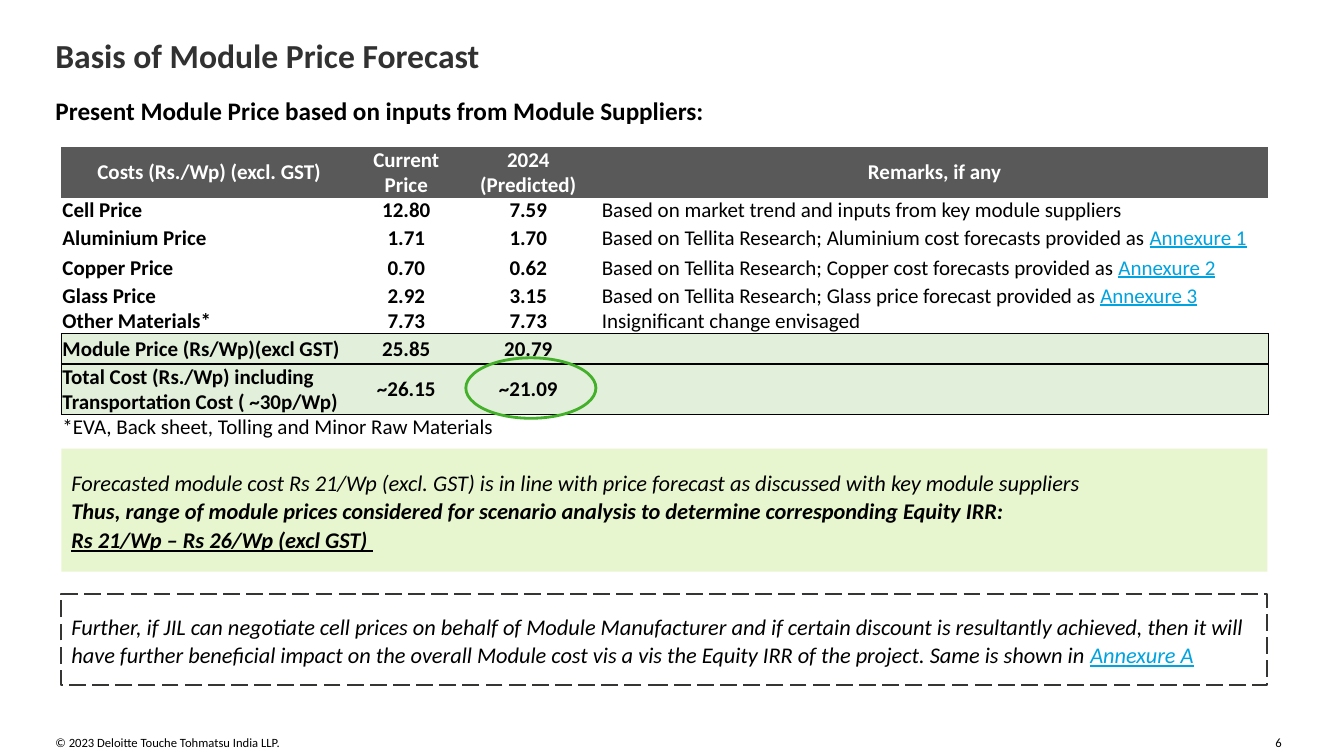
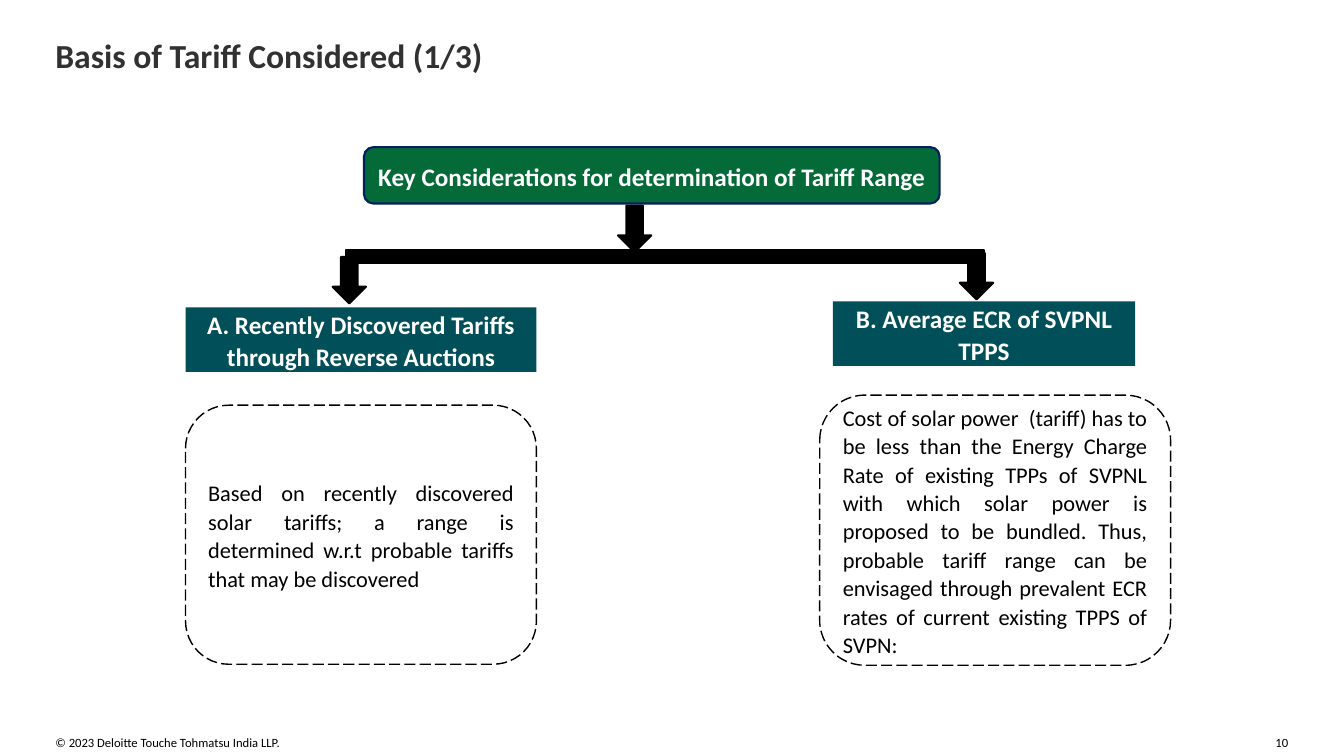
from dataclasses import dataclass

from lxml import etree
from pptx import Presentation
from pptx.dml.color import RGBColor
from pptx.enum.dml import MSO_LINE
from pptx.enum.shapes import MSO_SHAPE
from pptx.enum.text import MSO_ANCHOR, PP_ALIGN
from pptx.oxml.ns import qn
from pptx.util import Inches, Pt

LEFT, CENTER, JUSTIFY = PP_ALIGN.LEFT, PP_ALIGN.CENTER, PP_ALIGN.JUSTIFY
TOP, MIDDLE = MSO_ANCHOR.TOP, MSO_ANCHOR.MIDDLE
RECTANGLE, ROUNDED = MSO_SHAPE.RECTANGLE, MSO_SHAPE.ROUNDED_RECTANGLE
OVAL, DOWN_ARROW = MSO_SHAPE.OVAL, MSO_SHAPE.DOWN_ARROW
LONG_DASH = MSO_LINE.LONG_DASH
PLAIN_TABLE_STYLE = "{2D5ABB26-0587-4C30-8999-92F81FD0307C}"


@dataclass(frozen=True)
class Theme:
    font: str = "Calibri"
    text: str = "000000"
    inverse: str = "FFFFFF"
    title: str = "313131"
    link: str = "00A3E0"
    table_head: str = "595959"
    total_row: str = "E2EFDA"
    highlight: str = "43B02A"
    note: str = "E8F6CF"
    note_line: str = "353533"
    root: str = "046A38"
    root_line: str = "002060"
    branch: str = "004F59"
    title_size: int = 24
    heading_size: int = 18
    body_size: int = 16
    table_size: int = 15
    footer_size: int = 9
    line_spacing: float = 1.06


THEME = Theme()
LINK = {"color": THEME.link, "underline": True}


def color(value):
    return RGBColor.from_string(value)


def add_run(paragraph, text, size, color_value, bold=None, italic=None, underline=None):
    run = paragraph.add_run()
    run.text = text
    font = run.font
    font.name, font.size = THEME.font, Pt(size)
    font.bold, font.italic, font.underline = bold, italic, underline
    font.color.rgb = color(color_value)


def write(frame, paragraphs, size, align=LEFT, spacing=None, **base):
    for index, runs in enumerate(paragraphs):
        paragraph = frame.add_paragraph() if index else frame.paragraphs[0]
        paragraph.alignment = align
        if spacing:
            paragraph.line_spacing = spacing
        for text, changes in runs:
            style = {"color": THEME.text, **base, **changes}
            add_run(paragraph, text, size, style.pop("color"), **style)


def set_insets(frame, inset):
    frame.margin_left = frame.margin_right = Inches(inset)
    frame.margin_top = frame.margin_bottom = Inches(inset)


def add_label(slide, box, text, size, **style):
    frame = slide.shapes.add_textbox(*map(Inches, box)).text_frame
    frame.word_wrap = True
    frame.vertical_anchor = TOP
    set_insets(frame, 0)
    write(frame, [[(text, {})]], size, **style)


def add_box(slide, kind, box, fill=None, line=None, width=1.5, dash=None):
    shape = slide.shapes.add_shape(kind, *map(Inches, box))
    shape.shadow.inherit = False
    if fill:
        shape.fill.solid()
        shape.fill.fore_color.rgb = color(fill)
    else:
        shape.fill.background()
    if line:
        shape.line.color.rgb = color(line)
        shape.line.width = Pt(width)
        if dash:
            shape.line.dash_style = dash
    else:
        shape.line.fill.background()
    return shape


def add_text_box(slide, kind, box, paragraphs, size, outline, **style):
    frame = add_box(slide, kind, box, **outline).text_frame
    frame.word_wrap = True
    frame.vertical_anchor = MIDDLE
    set_insets(frame, 0.1)
    write(frame, paragraphs, size, spacing=THEME.line_spacing, **style)


def add_page(presentation, title, number):
    slide = presentation.slides.add_slide(presentation.slide_layouts[6])
    add_label(slide, (0.55, 7.29, 5.86, 0.15),
              "© 2023 Deloitte Touche Tohmatsu India LLP.", THEME.footer_size)
    add_label(slide, (12.65, 7.29, 0.3, 0.15), number, THEME.footer_size)
    add_label(slide, (0.55, 0.35, 12.24, 0.37), title, THEME.title_size,
              color=THEME.title, bold=True)
    return slide


def add_borders(cell, sides):
    properties = cell._tc.get_or_add_tcPr()
    for side in "LRTB":
        if side in sides:
            line = etree.SubElement(properties, qn(f"a:ln{side}"), w=str(Pt(1)))
            fill = etree.SubElement(line, qn("a:solidFill"))
            etree.SubElement(fill, qn("a:srgbClr"), val=THEME.text)


def style_cell(cell, runs, fill=None, borders="", **style):
    add_borders(cell, borders)
    if fill:
        cell.fill.solid()
        cell.fill.fore_color.rgb = color(fill)
    else:
        cell.fill.background()
    cell.vertical_anchor = MIDDLE
    cell.margin_left = cell.margin_right = Inches(0.01)
    cell.margin_top = cell.margin_bottom = 0
    write(cell.text_frame, [runs], THEME.table_size, **style)
    if not runs:
        paragraph = cell.text_frame.paragraphs[0]
        etree.SubElement(paragraph._p, qn("a:endParaRPr"), sz=str(THEME.table_size * 100))


def forecast_remark(subject, annexure):
    return [(f"Based on Tellita Research; {subject} provided as ", {}), (annexure, LINK)]


def add_price_table(slide, left, top):
    columns = (2.93, 0.98, 1.44, 6.62)
    heights = (0.5, 0.25, 0.3, 0.3, 0.25, 0.25, 0.3, 0.5, 0.25)
    rows = [
        ("Costs (Rs./Wp) (excl. GST)", "Current Price", "2024 (Predicted)",
         [("Remarks, if any", {})]),
        ("Cell Price", "12.80", "7.59",
         [("Based on market trend and inputs from key module suppliers", {})]),
        ("Aluminium Price", "1.71", "1.70",
         forecast_remark("Aluminium cost forecasts", "Annexure 1")),
        ("Copper Price", "0.70", "0.62",
         forecast_remark("Copper cost forecasts", "Annexure 2")),
        ("Glass Price", "2.92", "3.15",
         forecast_remark("Glass price forecast", "Annexure 3")),
        ("Other Materials*", "7.73", "7.73", [("Insignificant change envisaged", {})]),
        ("Module Price (Rs/Wp)(excl GST)", "25.85", "20.79", []),
        ("Total Cost (Rs./Wp) including Transportation Cost ( ~30p/Wp)",
         "~26.15", "~21.09", []),
        ("*EVA, Back sheet, Tolling and Minor Raw Materials", "", "", []),
    ]
    totals, footnote = (6, 7), 8
    last_column = len(columns) - 1
    graphic = slide.shapes.add_table(
        len(rows), len(columns), Inches(left), Inches(top),
        Inches(sum(columns)), Inches(sum(heights)))
    table = graphic.table
    table.first_row = table.horz_banding = False
    table._tbl.tblPr.find(qn("a:tableStyleId")).text = PLAIN_TABLE_STYLE
    for column, width in zip(table.columns, columns):
        column.width = Inches(width)
    for row, height in zip(table.rows, heights):
        row.height = Inches(height)
    table.cell(footnote, 0).merge(table.cell(footnote, 2))
    for row_index, (*texts, remark) in enumerate(rows):
        head, total = row_index == 0, row_index in totals
        fill = THEME.table_head if head else THEME.total_row if total else None
        contents = [[(text, {})] if text else [] for text in texts] + [remark]
        for column_index, runs in enumerate(contents):
            borders = "TB" if total else "T" if row_index == footnote else ""
            borders += "B" if row_index == totals[0] - 1 else ""
            if total:
                borders += {0: "L", last_column: "R"}.get(column_index, "")
            style_cell(
                table.cell(row_index, column_index), runs, fill, borders,
                align=CENTER if head or column_index in (1, 2) else LEFT,
                color=THEME.inverse if head else THEME.text,
                bold=head or (column_index < last_column and row_index != footnote))


def build_price_slide(presentation):
    slide = add_page(presentation, "Basis of Module Price Forecast", "6")
    left, width = 0.61, 11.96
    add_label(slide, (0.55, 0.95, 10.82, 0.3),
              "Present Module Price based on inputs from Module Suppliers:",
              THEME.heading_size, bold=True)
    add_price_table(slide, left, 1.46)
    add_box(slide, OVAL, (4.62, 3.55, 1.29, 0.6), line=THEME.highlight, width=2)
    conclusion = [
        [("Forecasted module cost Rs 21/Wp (excl. GST) is in line with price forecast "
          "as discussed with key module suppliers", {})],
        [("Thus, range of module prices considered for scenario analysis to determine "
          "corresponding Equity IRR:", {"bold": True})],
        [("Rs 21/Wp – Rs 26/Wp (excl GST)", {"bold": True, "underline": True}),
         (" ", {"underline": True})],
    ]
    add_text_box(slide, RECTANGLE, (left, 4.45, width, 1.22), conclusion,
                 THEME.body_size, {"fill": THEME.note}, italic=True)
    outlook = [[
        ("Further, if JIL can negotiate cell prices on behalf of Module Manufacturer and if "
         "certain discount is resultantly achieved, then it will have further beneficial "
         "impact on the overall Module cost vis a vis the Equity IRR of the project. "
         "Same is shown in ", {}),
        ("Annexure A", LINK)]]
    add_text_box(slide, RECTANGLE, (left, 5.89, width, 0.91), outlook, THEME.body_size,
                 {"line": THEME.note_line, "dash": LONG_DASH}, italic=True)


def add_solid(slide, kind, box):
    add_box(slide, kind, box, fill=THEME.text, line=THEME.text)


def add_heading_box(slide, kind, box, text, outline):
    add_text_box(slide, kind, box, [[(text, {})]], THEME.heading_size, outline,
                 align=CENTER, color=THEME.inverse, bold=True)


def add_branch(slide, heading_box, heading, detail_box, detail):
    add_heading_box(slide, RECTANGLE, heading_box, heading, {"fill": THEME.branch})
    add_text_box(slide, ROUNDED, detail_box, [[(detail, {})]], THEME.body_size,
                 {"line": THEME.text, "width": 1, "dash": LONG_DASH}, align=JUSTIFY)


def build_tariff_slide(presentation):
    slide = add_page(presentation, "Basis of Tariff Considered (1/3)", "10")
    add_heading_box(slide, ROUNDED, (3.61, 1.46, 5.71, 0.56),
                    "Key Considerations for determination of Tariff Range",
                    {"fill": THEME.root, "line": THEME.root_line})
    add_solid(slide, RECTANGLE, (3.43, 2.48, 6.33, 0.13))
    for left, top in ((3.3, 2.55), (6.13, 2.04), (9.52, 2.51)):
        add_solid(slide, DOWN_ARROW, (left, top, 0.33, 0.46))
    add_branch(
        slide, (1.84, 3.05, 3.48, 0.64),
        "A. Recently Discovered Tariffs through Reverse Auctions",
        (1.84, 4.02, 3.48, 2.57),
        "Based on recently discovered solar tariffs; a range is determined w.r.t probable "
        "tariffs that may be discovered")
    add_branch(
        slide, (8.26, 2.99, 3, 0.64), "B. Average ECR of SVPNL TPPS",
        (8.13, 3.92, 3.48, 2.68),
        "Cost of solar power  (tariff) has to be less than the Energy Charge Rate of "
        "existing TPPs of SVPNL with which solar power is proposed to be bundled. Thus, "
        "probable tariff range can be envisaged through prevalent ECR rates of current "
        "existing TPPS of SVPN:")


def main():
    presentation = Presentation()
    presentation.slide_width, presentation.slide_height = Inches(13.33), Inches(7.5)
    build_price_slide(presentation)
    build_tariff_slide(presentation)
    presentation.save("out.pptx")


if __name__ == "__main__":
    main()
